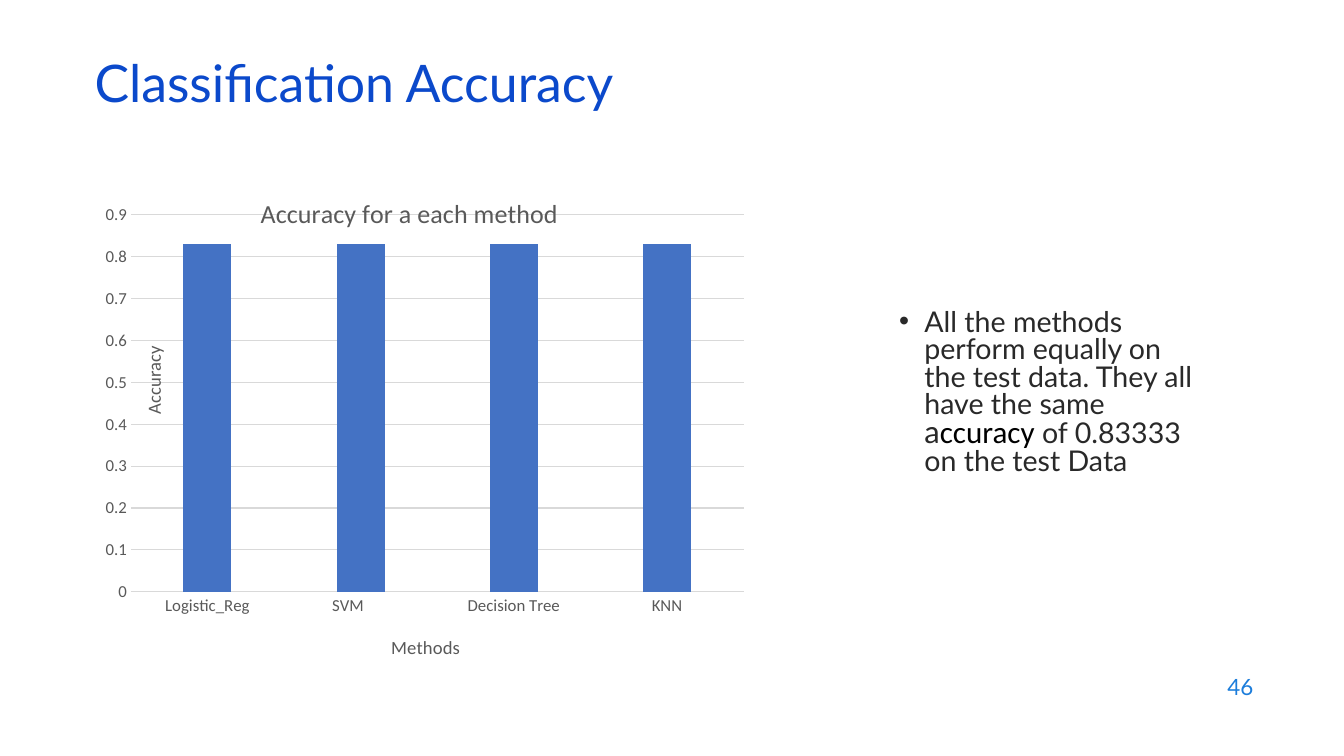
from dataclasses import dataclass

from lxml import etree
from pptx import Presentation
from pptx.chart.data import CategoryChartData
from pptx.dml.color import RGBColor
from pptx.enum.chart import XL_CHART_TYPE as ChartType, XL_TICK_MARK as TickMark
from pptx.enum.text import MSO_ANCHOR as Anchor, PP_ALIGN as Align
from pptx.oxml.ns import qn
from pptx.util import Inches, Pt


@dataclass(frozen=True)
class Theme:
    """Colours, fonts and type sizes of the slide."""
    heading: str = "0B49CB"
    number: str = "1C7DDB"
    body: str = "292929"
    accent: str = "000000"
    chart_text: str = "595959"
    grid: str = "D9D9D9"
    bar: str = "4472C4"
    text_font: str = "Lato"
    chart_font: str = "Calibri"
    heading_size: float = 37
    body_size: float = 20.4
    accent_size: float = 22.2
    number_size: float = 16
    chart_title_size: float = 18.6
    axis_title_size: float = 13.3
    label_size: float = 12


def style_font(font, size, color, name):
    """Set size, colour and typeface of a font."""
    font.size, font.name, font.bold = Pt(size), name, False
    font.color.rgb = RGBColor.from_string(color)


def place(title, layout):
    """Place a chart title or plot area by fractions of the chart."""
    for old in title.findall(qn("c:layout")):
        title.remove(old)
    element = etree.Element(qn("c:layout"))
    manual = etree.SubElement(element, qn("c:manualLayout"))
    for tag, value in layout.items():
        etree.SubElement(manual, qn(f"c:{tag}")).set("val", str(value))
    text = title.find(qn("c:tx"))
    title.insert(0 if text is None else 1, element)


class SlideBuilder:
    """Adds styled elements to one slide."""

    def __init__(self, slide, theme):
        self.slide = slide
        self.theme = theme

    def text(self, box, runs, anchor=Anchor.TOP, align=Align.LEFT, spacing=1.0, bullet=False):
        """Add a one-paragraph text box from (text, size, colour, font) runs."""
        frame = self.slide.shapes.add_textbox(*map(Inches, box)).text_frame
        frame.word_wrap = True
        frame.vertical_anchor = anchor
        paragraph = frame.paragraphs[0]
        paragraph.alignment, paragraph.line_spacing = align, spacing
        if bullet:
            properties = paragraph._p.get_or_add_pPr()
            properties.set("marL", str(Inches(0.25)))
            properties.set("indent", str(Inches(-0.25)))
            etree.SubElement(properties, qn("a:buFont")).set("typeface", "Arial")
            etree.SubElement(properties, qn("a:buChar")).set("char", "•")
        for content, *style in runs:
            run = paragraph.add_run()
            run.text = content
            style_font(run.font, *style)

    def chart_title(self, owner, content, size, left, top):
        """Give a chart or axis a title at a fixed position."""
        owner.has_title = True
        title = owner.chart_title if hasattr(owner, "chart_title") else owner.axis_title
        run = title.text_frame.paragraphs[0].add_run()
        run.text = content
        style_font(run.font, size, self.theme.chart_text, self.theme.chart_font)
        place(title._element, {"xMode": "edge", "yMode": "edge", "x": left, "y": top})

    def column_chart(self, box, categories, values):
        """Add the accuracy column chart."""
        theme = self.theme
        data = CategoryChartData()
        data.categories = categories
        data.add_series("Series 1", values)
        chart = self.slide.shapes.add_chart(
            ChartType.COLUMN_CLUSTERED, *map(Inches, box), data).chart
        chart.has_legend = False
        style_font(chart.font, theme.label_size, theme.chart_text, theme.chart_font)
        plot = chart.plots[0]
        plot.gap_width, plot.overlap, plot.vary_by_categories = 219, -27, False
        fill = plot.series[0].format.fill
        fill.solid()
        fill.fore_color.rgb = RGBColor.from_string(theme.bar)

        category_axis, value_axis = chart.category_axis, chart.value_axis
        for axis in (category_axis, value_axis):
            axis.major_tick_mark = axis.minor_tick_mark = TickMark.NONE
            style_font(axis.tick_labels.font, theme.label_size, theme.chart_text, theme.chart_font)
        value_axis.minimum_scale, value_axis.maximum_scale = 0, 0.9
        value_axis.major_unit = 0.1
        value_axis.format.line.fill.background()
        for line in (category_axis.format.line, value_axis.major_gridlines.format.line):
            line.color.rgb = RGBColor.from_string(theme.grid)
            line.width = Pt(0.75)

        self.chart_title(chart, "Accuracy for a each method", theme.chart_title_size, 0.26, 0.02)
        chart.chart_title.include_in_layout = True
        self.chart_title(category_axis, "Methods", theme.axis_title_size, 0.46, 0.92)
        self.chart_title(value_axis, "Accuracy", theme.axis_title_size, 0.08, 0.33)
        place(chart._chartSpace.chart.plotArea, {
            "layoutTarget": "inner", "xMode": "edge", "yMode": "edge",
            "x": 0.07, "y": 0.07, "w": 0.93, "h": 0.77})


def main():
    """Build and save the classification accuracy slide."""
    presentation = Presentation()
    presentation.slide_width, presentation.slide_height = Inches(13.33), Inches(7.5)
    theme = Theme()
    builder = SlideBuilder(presentation.slides.add_slide(presentation.slide_layouts[6]), theme)
    body = (theme.body_size, theme.body, theme.text_font)

    builder.text(
        (0.84, 0.59, 11.5, 0.6),
        [("Classification Accuracy", theme.heading_size, theme.heading, theme.text_font)],
        anchor=Anchor.MIDDLE, spacing=0.7)
    builder.column_chart(
        (0.84, 1.79, 6.54, 4.86),
        ["Logistic_Reg", "SVM\t", "Decision Tree", "KNN"], [0.83] * 4)
    builder.text(
        (8.82, 3.03, 3.23, 1.87),
        [("All the methods perform equally on the test data. They all have the same ", *body),
         ("a", theme.accent_size, theme.body, theme.text_font),
         ("ccuracy", theme.accent_size, theme.accent, theme.chart_font),
         (" of 0.83333 on the test Data", *body)],
        spacing=0.8, bullet=True)
    builder.text(
        (9.53, 6.59, 3, 0.44),
        [("46", theme.number_size, theme.number, theme.text_font)],
        anchor=Anchor.MIDDLE, align=Align.RIGHT)
    presentation.save("out.pptx")


if __name__ == "__main__":
    main()
